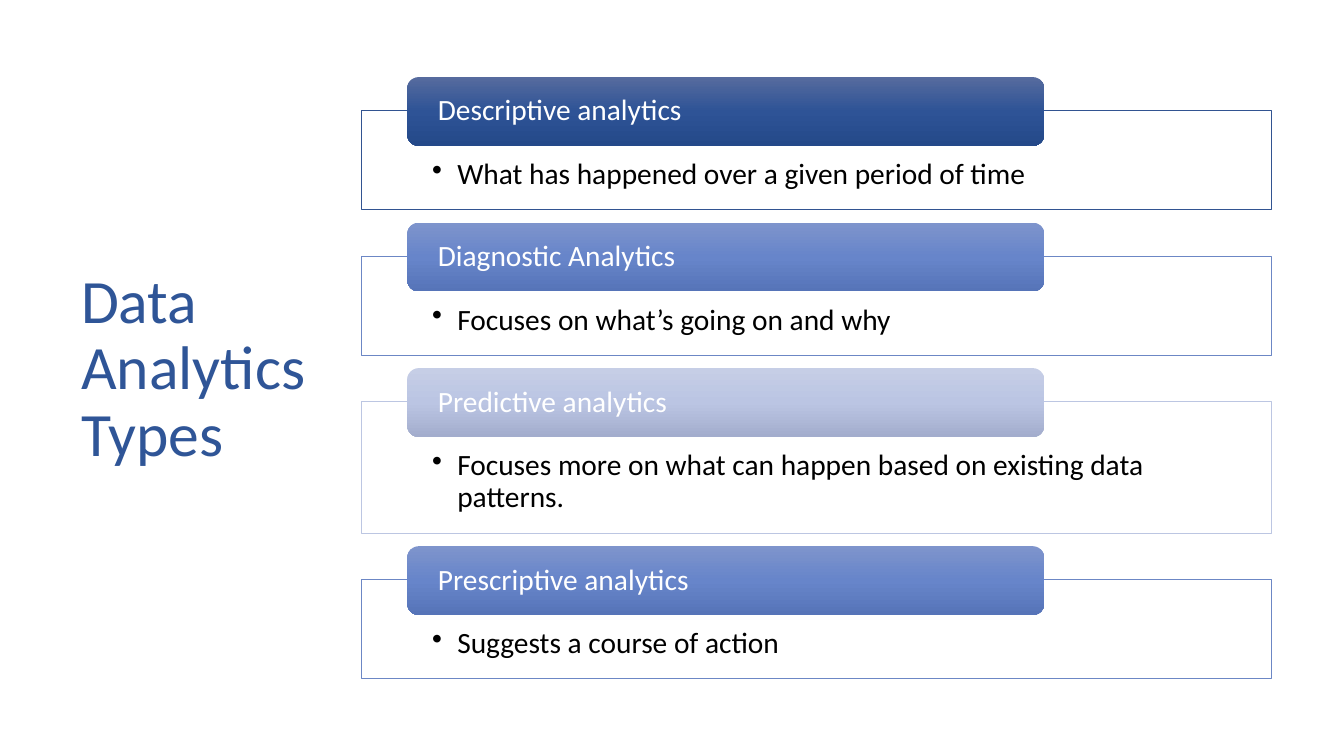
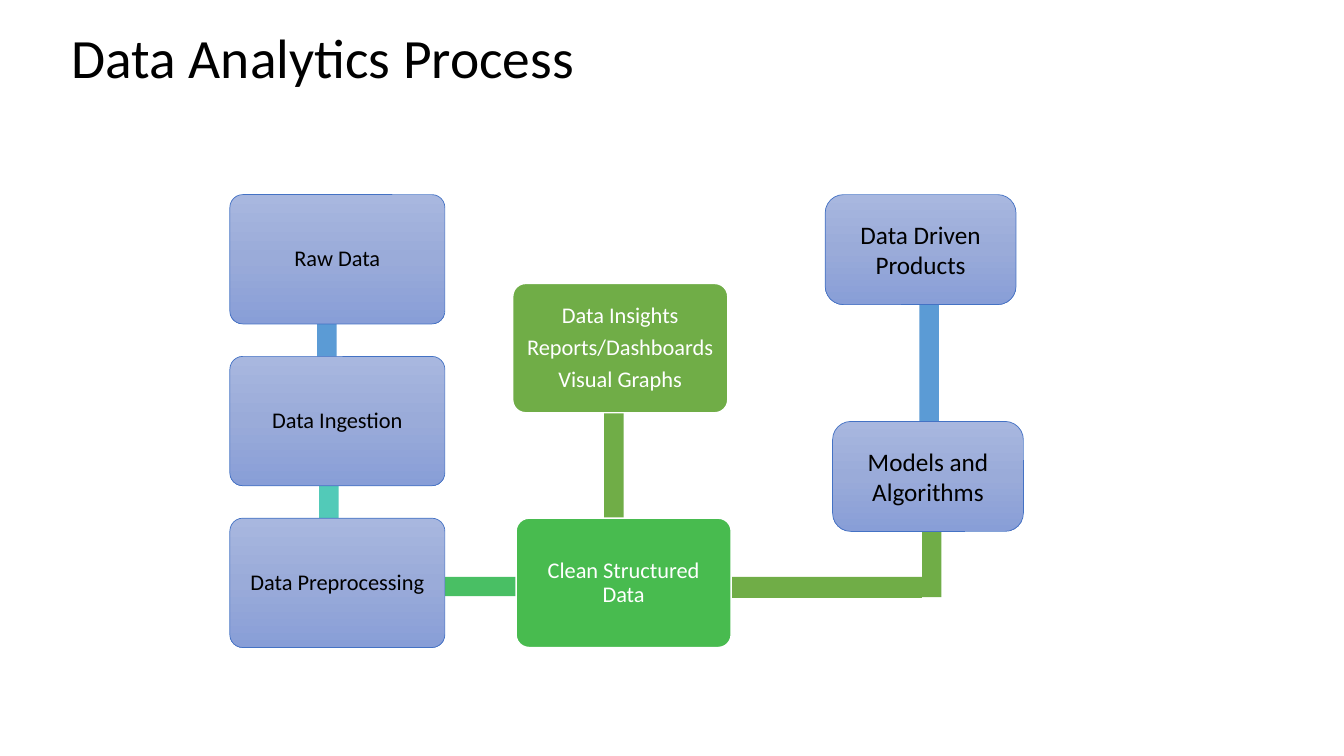
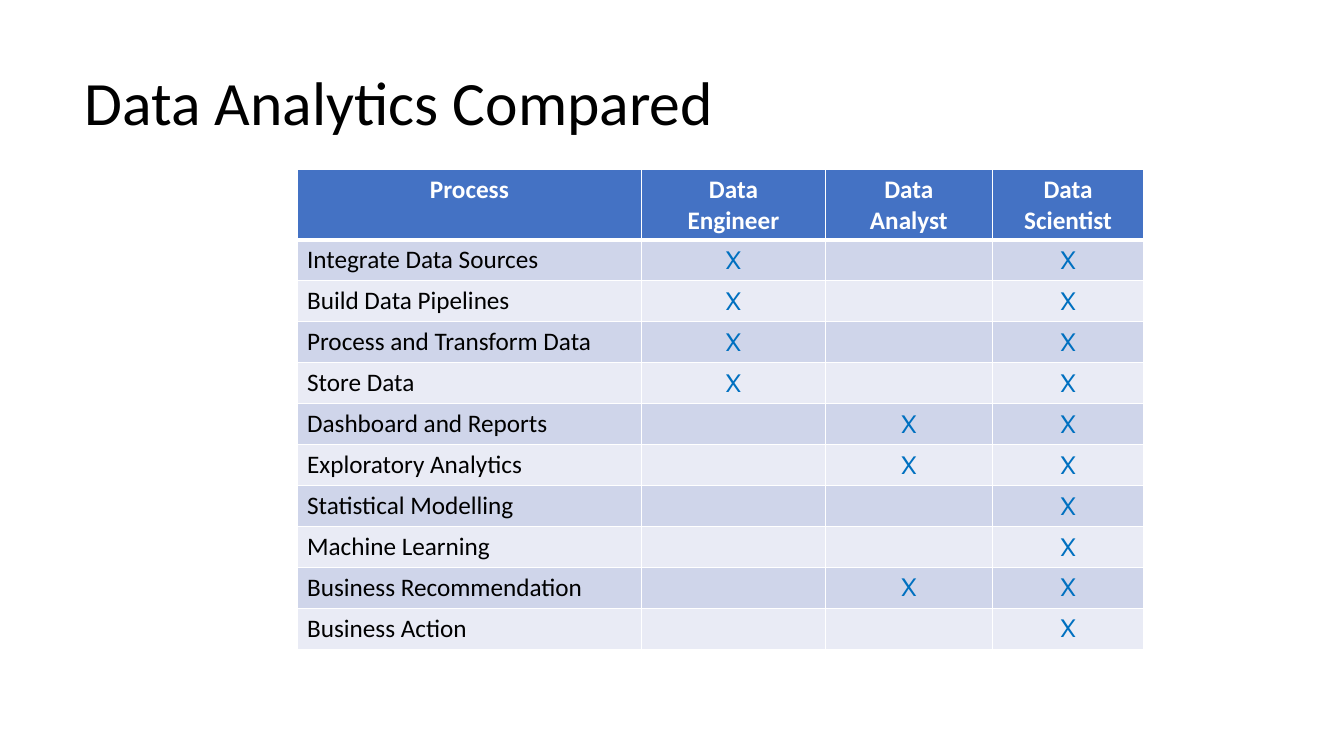
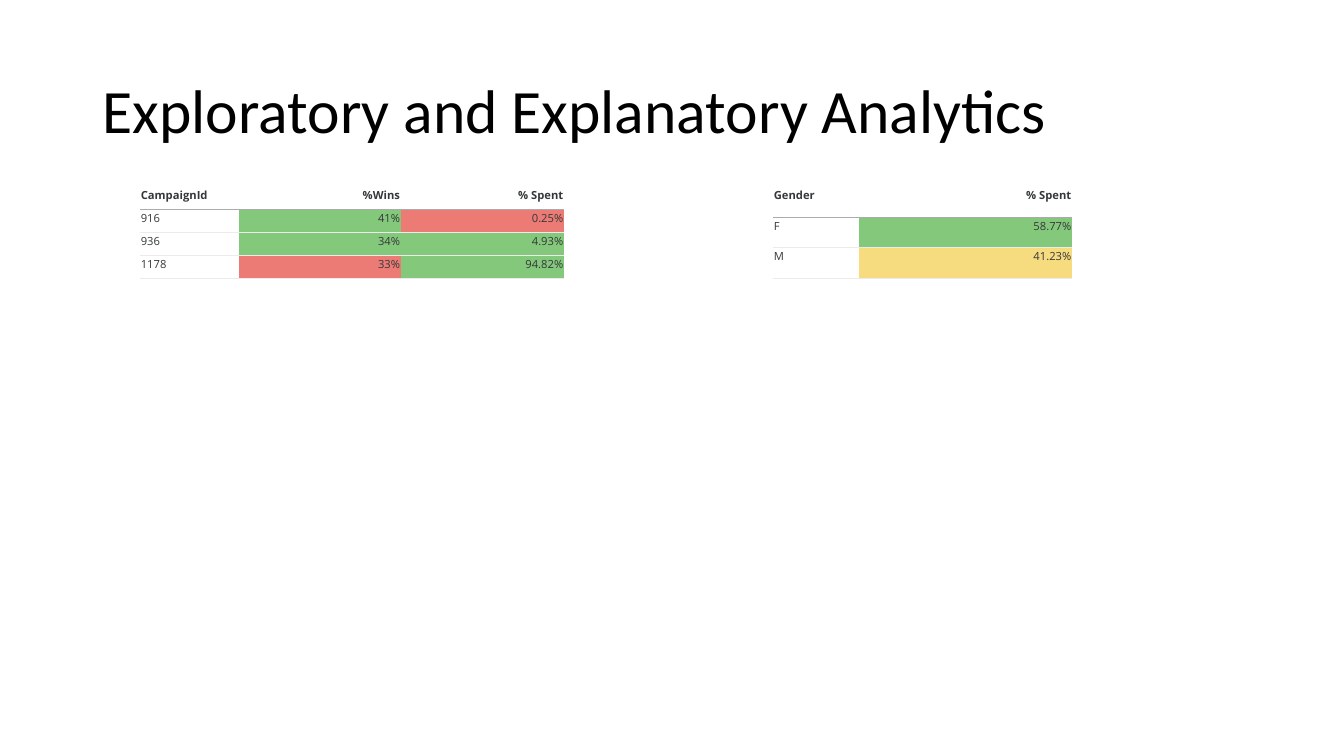
from copy import deepcopy

from lxml import etree
from pptx import Presentation
from pptx.dml.color import RGBColor
from pptx.enum.shapes import MSO_SHAPE
from pptx.enum.text import MSO_ANCHOR, PP_ALIGN
from pptx.oxml.ns import qn
from pptx.util import Inches, Pt

RECT, ROUND = MSO_SHAPE.RECTANGLE, MSO_SHAPE.ROUNDED_RECTANGLE
LEFT, CENTER, RIGHT = PP_ALIGN.LEFT, PP_ALIGN.CENTER, PP_ALIGN.RIGHT
TOP, MIDDLE = MSO_ANCHOR.TOP, MSO_ANCHOR.MIDDLE

# Shared colours
BLACK, WHITE = "000000", "FFFFFF"
NAVY, BLUE, SKY, GREEN = "2F5597", "4472C4", "5B9BD5", "70AD47"
PALE_BLUE = ["A8B7DF", "9AABD9", "889ED7"]
GOOD, BAD, FAIR = "84C87B", "EC7B75", "F6DB7F"

deck = Presentation()
deck.slide_width, deck.slide_height = Inches(13.33), Inches(7.5)
# The grid: 100 columns by 100 rows over the slide
COL, ROW = deck.slide_width / 100, deck.slide_height / 100
types, process, compared, explored = [
    deck.slides.add_slide(deck.slide_layouts[6]) for _ in range(4)]


def paint(fill, *colours):
    """Fill with one colour, or with three as a gradient running down."""
    if len(colours) == 1:
        fill.solid()
        fill.fore_color.rgb = RGBColor.from_string(colours[0])
    else:
        fill.gradient()
        fill.gradient_angle = 270
        first = fill.gradient_stops[0]._gs
        first.addnext(deepcopy(first))
        for stop, position, colour in zip(fill.gradient_stops, (0, 0.5, 1), colours):
            stop.position = position
            stop.color.rgb = RGBColor.from_string(colour)


def write(frame, text, style):
    """Put text in a frame and apply the style's format values."""
    frame.text = text
    for paragraph in frame.paragraphs:
        for key, value in style.get("paragraph", {}).items():
            setattr(paragraph, key, value)
        if "bullet" in style:
            props = paragraph._p.get_or_add_pPr()
            props.set("marL", str(Inches(0.25)))
            props.set("indent", str(-Inches(0.25)))
            etree.SubElement(props, qn("a:buChar"), char=style["bullet"])
        for run in paragraph.runs:
            for key, value in style["font"].items():
                setattr(run.font, key, value)
            paint(run.font.fill, style["colour"])


# Text styles
title_style = {
    "frame": {"vertical_anchor": MIDDLE},
    "paragraph": {"line_spacing": 0.9, "alignment": LEFT},
    "font": {"name": "Calibri", "size": Pt(44)}, "colour": BLACK}
tab_style = {
    **title_style, "font": {"name": "Calibri", "size": Pt(21)}, "colour": WHITE,
    "frame": {"vertical_anchor": MIDDLE, "margin_left": int(2.03 * COL)}}
detail_style = {
    **tab_style, "colour": BLACK, "bullet": "•",
    "frame": {"vertical_anchor": TOP,
              "margin_left": int(5.25 * COL), "margin_right": int(5.25 * COL),
              "margin_top": int(6.4 * ROW), "margin_bottom": int(2.1 * ROW)}}
step_style = {
    **title_style, "font": {"name": "Calibri", "size": Pt(16)},
    "paragraph": {"line_spacing": 0.9, "space_after": Pt(5.6), "alignment": CENTER}}
result_style = {**step_style, "colour": WHITE}
model_style = {
    **title_style, "font": {"name": "Calibri", "size": Pt(18)},
    "paragraph": {"alignment": CENTER}}

# Each part: slide, outline, place, fill colours, line, corner, text, style
parts = []

# Titles
for slide, place, text, size, colour in [
    (types, (5.3, 20.1, 21.5, 57.6), "Data Analytics\vTypes", 44, NAVY),
    (process, (4.6, 3.3, 70.5, 9.5), "Data Analytics Process", 39.6, BLACK),
    (compared, (5.55, 8.95, 70.5, 10.1), "Data Analytics Compared", 44, BLACK),
    (explored, (6.9, 5.3, 86.25, 19.35), "Exploratory and Explanatory Analytics", 44, BLACK),
]:
    style = {**title_style, "font": {"name": "Calibri", "size": Pt(size)}, "colour": colour}
    parts.append((slide, None, place, [], None, None, text, style))

# Analytics types: a tab over a framed description
MID_BLUE = ["7E94CC", "6785CA", "5674B8"]
tab_top = 10.2
for name, detail, height, line, shades in [
    ("Descriptive analytics", "What has happened over a given period of time",
     13.1, "325491", ["566B9E", "2E5396", "244989"]),
    ("Diagnostic Analytics", "Focuses on what’s going on and why",
     13.1, "6C87C5", MID_BLUE),
    ("Predictive analytics", "Focuses more on what can happen based on existing data patterns.",
     17.4, "BCC6E2", ["C6CEE6", "BBC5E3", "A3ADCD"]),
    ("Prescriptive analytics", "Suggests a course of action",
     13.1, "6C87C5", MID_BLUE),
]:
    frame_top = tab_top + 4.45
    parts.append((types, RECT, (26.9, frame_top, 67.7, height), [WHITE],
                  (line, 0.5), None, detail, detail_style))
    parts.append((types, ROUND, (30.3, tab_top, 47.4, 9.1), shades,
                  None, None, name, tab_style))
    tab_top = frame_top + height + 1.7

# Process: bars behind the steps
BAR_WIDTH, BAR_HEIGHT = 1.45, 2.55
for place, colour in [
    ((68.6, 64.5, BAR_WIDTH, 14.5), GREEN),
    ((51.3, 76.3, 17.3, 2.8), GREEN),
    ((68.4, 34.5, BAR_WIDTH, 21.2), SKY),
    ((23.6, 30, BAR_WIDTH, 21.2), SKY),
    ((23.75, 51.5, BAR_WIDTH, 21.2), "52CAB8"),
    ((20.7, 76.3, 21.2, BAR_HEIGHT), "49BF64"),
    ((44.95, 41.7, BAR_WIDTH, 30.8), GREEN),
]:
    parts.append((process, RECT, place, [colour], None, None, "", step_style))

# Process: steps, results and models
FIRST, STEP = 25.75, 21.4
LAST = FIRST + 2 * STEP
for row, text in enumerate(["Raw Data", "Data Ingestion", "Data Preprocessing"]):
    parts.append((process, ROUND, (17.1, FIRST + row * STEP, 16, 17.1), PALE_BLUE,
                  (BLUE, 0.5), 0.1, text, step_style))
for left, top, colour, text in [
    (38.4, LAST, "48BB4F", "Clean Structured Data"),
    (38.15, 37.5, GREEN, "Data Insights\nReports/Dashboards\nVisual Graphs"),
]:
    parts.append((process, ROUND, (left, top, 16, 17.1), [colour],
                  (WHITE, 1), 0.1, text, result_style))
for left, top, text in [(61.95, 55.75, "Models and Algorithms"),
                        (61.4, FIRST, "Data Driven Products")]:
    parts.append((process, ROUND, (left, top, 14.2, 14.55), PALE_BLUE,
                  (BLUE, 0.5), None, text, model_style))

# Draw the parts
for slide, outline, (left, top, width, height), fills, line, corner, text, style in parts:
    place = int(left * COL), int(top * ROW), int(width * COL), int(height * ROW)
    if outline is None:
        part = slide.shapes.add_textbox(*place)
    else:
        part = slide.shapes.add_shape(outline, *place)
        part.shadow.inherit = False
        paint(part.fill, *fills)
        if line:
            paint(part.line.fill, line[0])
            part.line.width = Pt(line[1])
        else:
            part.line.fill.background()
    if corner:
        part.adjustments[0] = corner
    if text:
        part.text_frame.word_wrap = True
        for key, value in style["frame"].items():
            setattr(part.text_frame, key, value)
        write(part.text_frame, text, style)

# Table contents
roles = [
    ("Process", "Data\nEngineer", "Data\nAnalyst", "Data Scientist"),
    ("Integrate Data Sources", "X", "", "X"),
    ("Build Data Pipelines", "X", "", "X"),
    ("Process and Transform Data", "X", "", "X"),
    ("Store Data", "X", "", "X"),
    ("Dashboard and Reports", "", "X", "X"),
    ("Exploratory Analytics", "", "X", "X"),
    ("Statistical Modelling", "", "", "X"),
    ("Machine Learning", "", "", "X"),
    ("Business Recommendation", "", "X", "X"),
    ("Business Action", "", "", "X"),
]
bands = [[BLUE] * 4] + [[("E9EBF5", "CFD5EA")[row % 2]] * 4 for row in range(1, len(roles))]
genders = [("Gender", "% Spent"), ("F", "58.77%"), ("M", "41.23%")]
campaigns = [("CampaignId", "%Wins", "% Spent"), ("916", "41%", "0.25%"),
             ("936", "34%", "4.93%"), ("1178", "33%", "94.82%")]

# Table looks; rules are the lines over the header, under it and under each row
role_look = {
    "rules": [(WHITE, 1), (WHITE, 3), (WHITE, 1)], "sides": (WHITE, 1), "margins": {},
    "lead": CENTER, "align": CENTER, "size": 18, "fonts": ("Calibri", "Cabin"),
    "colours": (WHITE, BLACK, "0070C0")}
report_look = {
    "rules": [(WHITE, 0.5), ("ABABAB", 0.5), ("EBEBEB", 0.5)], "sides": None,
    "margins": {"margin_left": Inches(0.01), "margin_right": Inches(0.01),
                "margin_top": Inches(0.01), "margin_bottom": 0},
    "lead": LEFT, "align": RIGHT, "size": 8, "fonts": ("Open Sans", "Open Sans"),
    "colours": ("35383A",) * 3}

# Draw the tables
for slide, left, top, widths, head_height, row_height, rows, fills, look in [
    (compared, 22.1, 22.4, (25.65, 13.65, 12.45, 11.25), 9.2, 5.42, roles, bands, role_look),
    (explored, 57.5, 24.7, (6.4, 15.9), 4.04, 4.04, genders,
     [[WHITE, WHITE], [WHITE, GOOD], [WHITE, FAIR]], report_look),
    (explored, 10.4, 24.7, (7.35, 12.1, 12.15), 3.03, 3.03, campaigns,
     [[WHITE] * 3, [WHITE, GOOD, BAD], [WHITE, GOOD, GOOD], [WHITE, BAD, GOOD]], report_look),
]:
    height = head_height + row_height * (len(rows) - 1)
    table = slide.shapes.add_table(
        len(rows), len(widths), int(left * COL), int(top * ROW),
        int(sum(widths) * COL), int(height * ROW)).table
    table.horz_banding = False
    # The plain table style, without lines or bands
    table._tbl.tblPr.find(qn("a:tableStyleId")).text = "{2D5ABB26-0587-4C30-8999-92F81FD0307C}"
    for column, width in zip(table.columns, widths):
        column.width = int(width * COL)
    for r, texts in enumerate(rows):
        table.rows[r].height = int((row_height if r else head_height) * ROW)
        for c, text in enumerate(texts):
            cell = table.cell(r, c)
            for key, value in look["margins"].items():
                setattr(cell, key, value)
            # Borders go before the fill
            over, under = (look["rules"][min(edge, 2)] for edge in (r, r + 1))
            for side, rule in zip("LRTB", (look["sides"], look["sides"], over, under)):
                if rule:
                    border = etree.SubElement(cell._tc.get_or_add_tcPr(), qn(f"a:ln{side}"),
                                              w=str(Pt(rule[1])))
                    solid = etree.SubElement(border, qn("a:solidFill"))
                    etree.SubElement(solid, qn("a:srgbClr"), val=rule[0])
            paint(cell.fill, fills[r][c])
            # Header, row label or value
            is_value = r > 0 and c > 0
            first_column = look["lead"] if r == 0 else LEFT
            write(cell.text_frame, text, {
                "paragraph": {"alignment": look["align"] if c else first_column},
                "font": {"name": look["fonts"][is_value], "size": Pt(look["size"]),
                         "bold": r == 0},
                "colour": look["colours"][(r > 0) + is_value]})

deck.save("out.pptx")
